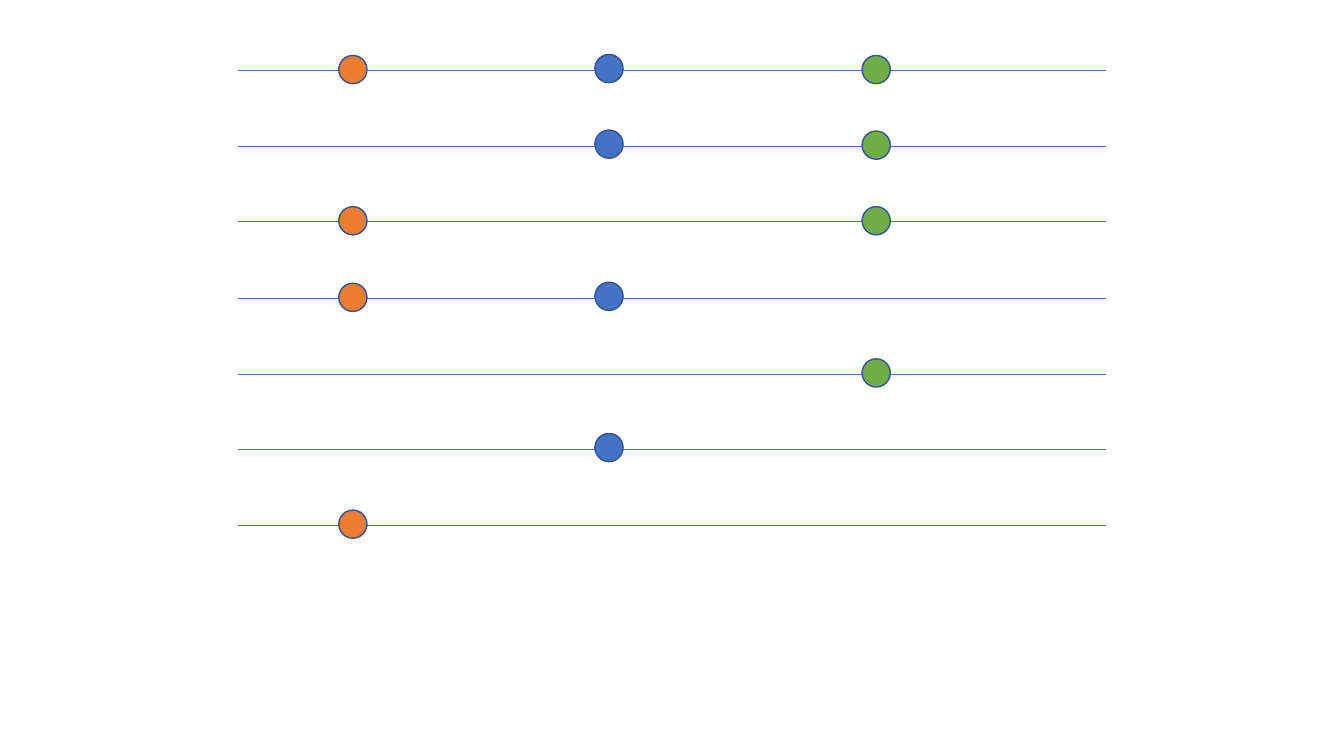
from dataclasses import dataclass

from lxml import etree
from pptx import Presentation
from pptx import util as u
from pptx.dml.color import RGBColor
from pptx.enum import shapes
from pptx.oxml.ns import qn

PX = 9144


@dataclass(frozen=True)
class Theme:
    orange: str = "ED7D31"
    blue: str = "4472C4"
    green: str = "70AD47"
    outline: str = "325491"
    rail_width: float = 0.5
    outline_width: float = 1


class Board:
    def __init__(self, slide, theme):
        self.s = slide
        self.theme = theme

    def group(self):
        return self.s.shapes.add_group_shape()

    def stroke(self, sp, color, width):
        sp.line.color.rgb = RGBColor.from_string(color)
        sp.line.width = u.Pt(width)

    def rail(self, group, left, right, y):
        sp = group.shapes.add_connector(
            shapes.MSO_CONNECTOR.STRAIGHT, left * PX, y * PX, right * PX, y * PX)
        self.stroke(sp, self.theme.blue, self.theme.rail_width)
        etree.SubElement(sp._element.spPr, qn("a:effectLst"))

    def bead(self, group, left, top, size, color):
        sp = group.shapes.add_shape(
            shapes.MSO_SHAPE.OVAL, left * PX, top * PX, size * PX, size * PX)
        sp.shadow.inherit = False
        sp.fill.solid()
        sp.fill.fore_color.rgb = RGBColor.from_string(color)
        self.stroke(sp, self.theme.outline, self.theme.outline_width)


def main():
    prs = Presentation()
    prs.slide_width, prs.slide_height = 1333 * PX, 750 * PX
    theme = Theme()
    board = Board(prs.slides.add_slide(prs.slide_layouts[6]), theme)

    beads = {
        "O": (336, 15, theme.orange),
        "G": (855, 15, theme.green),
        "B": (590, 16, theme.blue),
    }
    rows = ["OGB", "GB", "OG", "OB", "G", "B", "O"]
    first_y, last_y = 70, 521
    for i, row in enumerate(rows):
        y = first_y + round(i * (last_y - first_y) / (len(rows) - 1))
        group = board.group()
        board.rail(group, 236, 1097, y)
        for key in row:
            left, rise, color = beads[key]
            board.bead(group, left, y - rise, 28, color)

    prs.save("out.pptx")


if __name__ == "__main__":
    main()
